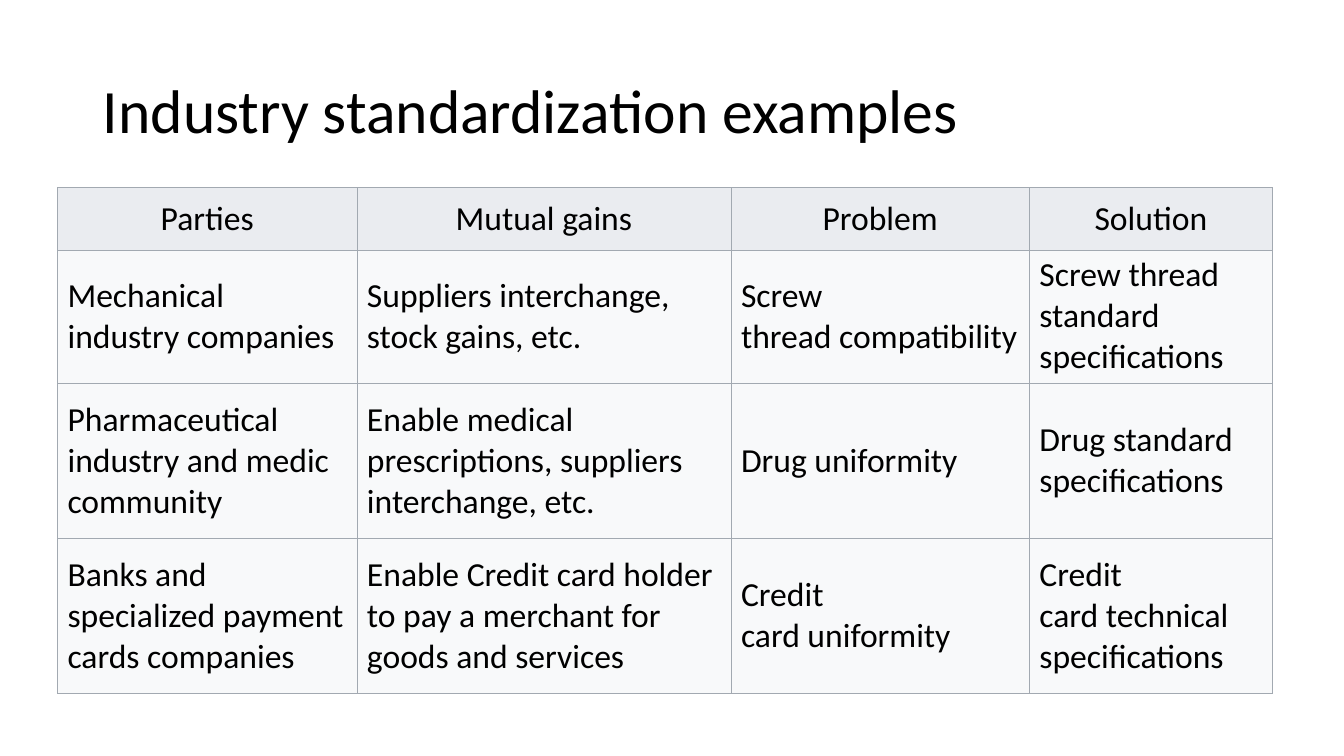
from dataclasses import dataclass

from lxml import etree
from pptx import Presentation
from pptx.dml import color
from pptx.enum import text
from pptx.oxml import ns
from pptx.util import Inches, Pt


@dataclass(frozen=True)
class Theme:
    font: str = "Calibri"
    ink: str = "000000"
    header_fill: str = "EAECF0"
    body_fill: str = "F8F9FA"
    border: str = "A2A9B1"
    title_size: float = 44
    table_size: float = 24
    border_width: float = 0.38


THEME = Theme()

COLUMN_WIDTHS = (2.97, 3.71, 2.96, 2.41)
ROW_HEIGHTS = (0.62, 1.08, 1.54, 1.54)

# A tilde stands for a space that must not break
EXAMPLES = (
    ("Parties", "Mutual gains", "Problem", "Solution"),
    ("Mechanical industry~companies",
     "Suppliers~interchange, stock gains, etc.",
     "Screw thread~compatibility",
     "Screw thread standard specifications"),
    ("Pharmaceutical industry~and~medic community",
     "Enable~medical prescriptions, suppliers interchange, etc.",
     "Drug~uniformity",
     "Drug standard specifications"),
    ("Banks~and specialized~payment cards companies",
     "Enable~Credit card~holder to pay a merchant for goods and services",
     "Credit card~uniformity",
     "Credit card~technical specifications"),
)


def format_paragraph(paragraph, size, alignment):
    paragraph.alignment = alignment
    for run in paragraph.runs:
        run.font.name = THEME.font
        run.font.size = Pt(size)
        run.font.bold = False
        run.font.color.rgb = color.RGBColor.from_string(THEME.ink)


def set_title(slide, wording):
    title = slide.shapes.title
    title.left, title.top = Inches(0.92), Inches(0.4)
    title.width, title.height = Inches(11.5), Inches(1.45)
    frame = title.text_frame
    frame.text = wording
    frame.word_wrap = True
    frame.auto_size = text.MSO_AUTO_SIZE.NONE
    frame.vertical_anchor = text.MSO_ANCHOR.MIDDLE
    paragraph = frame.paragraphs[0]
    paragraph.line_spacing = 0.9
    format_paragraph(paragraph, THEME.title_size, text.PP_ALIGN.LEFT)


def add_borders(cell):
    """Draw all four edges; they must come before the fill in the cell."""
    properties = cell._tc.get_or_add_tcPr()
    for position, edge in enumerate(("lnL", "lnR", "lnT", "lnB")):
        line = etree.Element(ns.qn(f"a:{edge}"), w=str(Pt(THEME.border_width)))
        fill = etree.SubElement(line, ns.qn("a:solidFill"))
        etree.SubElement(fill, ns.qn("a:srgbClr"), val=THEME.border)
        properties.insert(position, line)


def fill_cell(cell, wording, is_header):
    cell.text = wording.replace("~", chr(160))
    cell.vertical_anchor = text.MSO_ANCHOR.MIDDLE
    cell.fill.solid()
    cell.fill.fore_color.rgb = color.RGBColor.from_string(
        THEME.header_fill if is_header else THEME.body_fill)
    alignment = text.PP_ALIGN.CENTER if is_header else text.PP_ALIGN.LEFT
    format_paragraph(cell.text_frame.paragraphs[0], THEME.table_size, alignment)
    add_borders(cell)


def add_examples_table(slide):
    table = slide.shapes.add_table(
        len(ROW_HEIGHTS), len(COLUMN_WIDTHS), Inches(0.57), Inches(1.86),
        Inches(sum(COLUMN_WIDTHS)), Inches(sum(ROW_HEIGHTS))).table
    table.horz_banding = False
    for column, width in zip(table.columns, COLUMN_WIDTHS):
        column.width = Inches(width)
    for row_index, (row, height) in enumerate(zip(table.rows, ROW_HEIGHTS)):
        row.height = Inches(height)
        for cell, wording in zip(row.cells, EXAMPLES[row_index]):
            fill_cell(cell, wording, is_header=row_index == 0)


def main():
    presentation = Presentation()
    presentation.slide_width = Inches(13.33)
    presentation.slide_height = Inches(7.5)
    title_only = presentation.slide_layouts.get_by_name("Title Only")
    slide = presentation.slides.add_slide(title_only)

    # Heading
    set_title(slide, "Industry standardization examples")

    # Examples by industry
    add_examples_table(slide)

    presentation.save("out.pptx")


if __name__ == "__main__":
    main()
